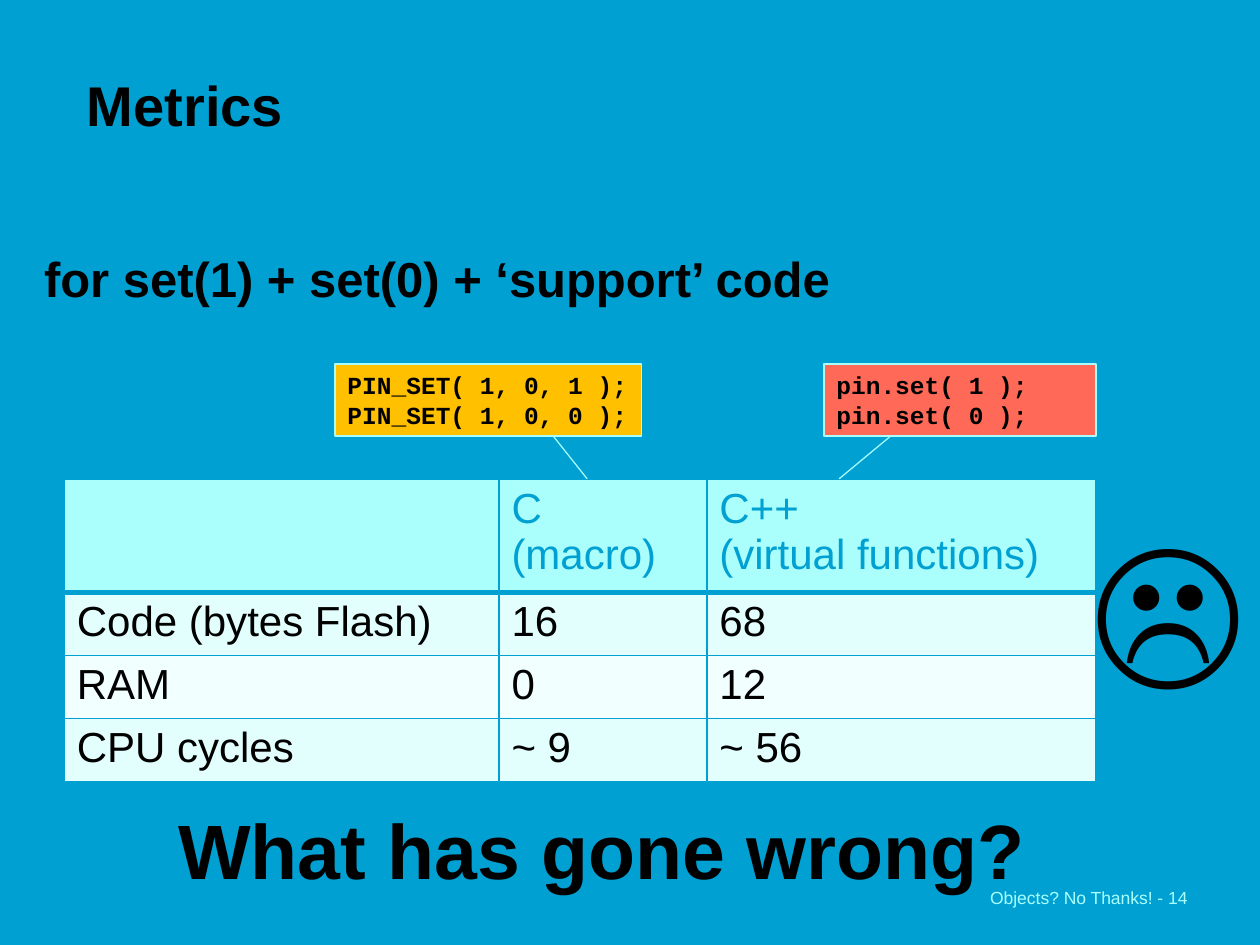
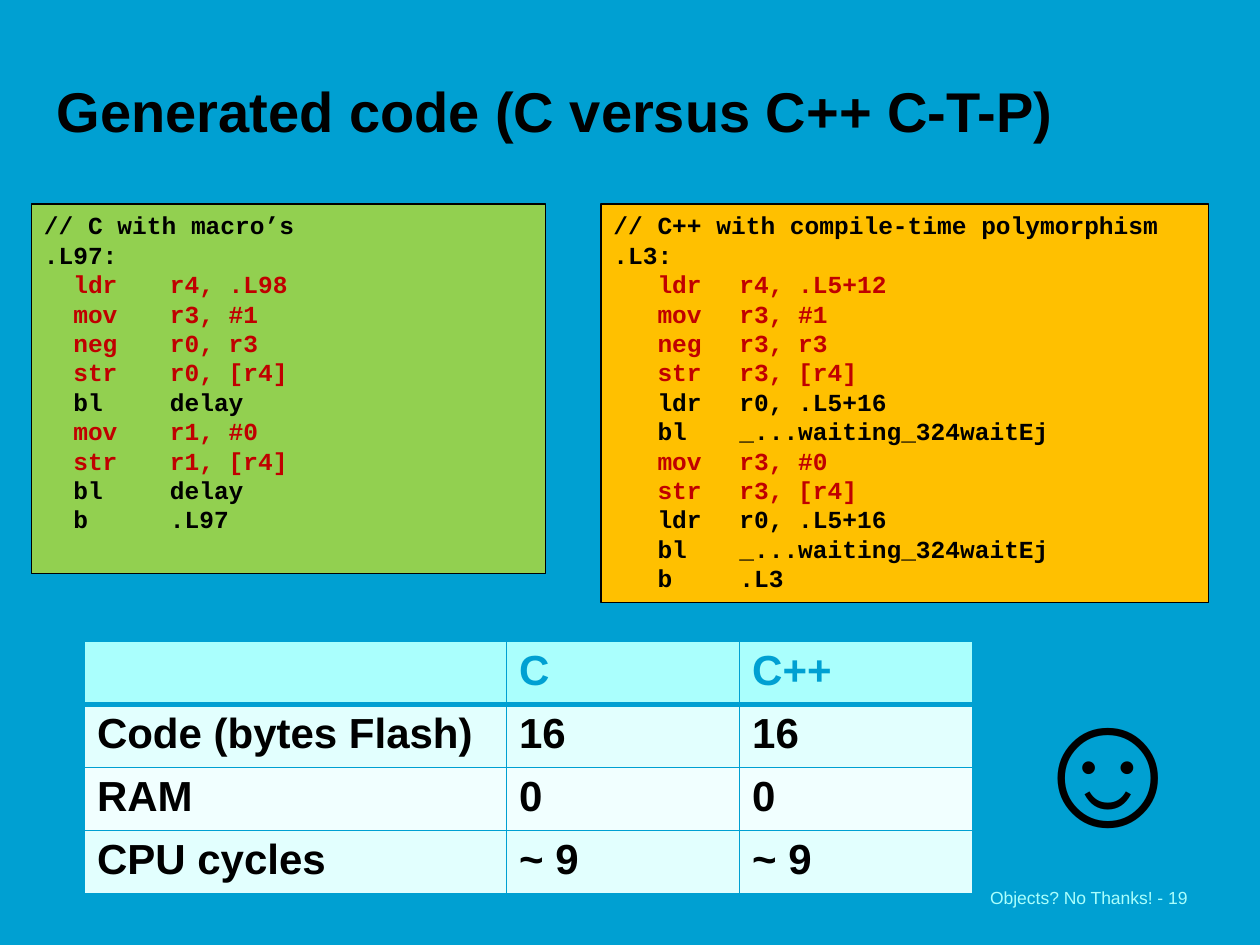
from dataclasses import dataclass
from typing import NamedTuple

from lxml.etree import SubElement
from pptx import Presentation
from pptx.dml.color import RGBColor
from pptx.enum.shapes import MSO_CONNECTOR as Connector, MSO_SHAPE as Preset
from pptx.enum.text import MSO_ANCHOR as Anchor, MSO_AUTO_SIZE as AutoSize, PP_ALIGN as Align
from pptx.oxml import parse_xml
from pptx.oxml.ns import nsdecls, qn
from pptx.util import Inches, Pt

COLUMNS, ROWS = 40, 30
WIDTH, HEIGHT = Inches(10), Inches(7.5)


@dataclass(frozen=True)
class Theme:
    background: str = "00A0D2"
    ink: str = "000000"
    pale: str = "AAFFFD"
    callout: str = "A4FBF9"
    bands: tuple[str, str] = ("E2FFFE", "F1FFFF")
    amber: str = "FFC000"
    coral: str = "FF6A58"
    green: str = "92D050"
    hot: str = "C00000"
    text_font: str = "Arial"
    code_font: str = "Courier New"
    title_size: int = 32
    body_size: int = 28
    table_size: int = 24
    code_size: int = 14
    question_size: int = 44
    face_size: int = 96
    footer_size: int = 10
    hairline: float = 0.75
    border: int = 1
    header_border: int = 3


THEME = Theme()


class Region(NamedTuple):
    left: float
    top: float
    width: float
    height: float

    def lengths(self) -> tuple[int, int, int, int]:
        return across(self.left), down(self.top), across(self.width), down(self.height)


@dataclass(frozen=True)
class CodeBox:
    region: Region
    fill: str
    line: str
    code: str
    hot_lines: tuple[int, ...] = ()
    wrap: bool = True


@dataclass(frozen=True)
class Metrics:
    left: float
    top: float
    columns: tuple[float, ...]
    rows: tuple[float, ...]
    header: tuple[str, ...]
    c_values: tuple[str, ...]
    cpp_values: tuple[str, ...]
    bold: bool


class Callout(NamedTuple):
    start: tuple[float, float]
    end: tuple[float, float]


METRIC_NAMES = ("Code (bytes Flash)", "RAM", "CPU cycles")
C_VALUES = ("16", "0", "~ 9")
FOOTER = Region(31.04, 27.48, 8.32, 2)

PIN_BOXES = (
    CodeBox(Region(26.16, 11.56, 8.64, 2.28), THEME.coral, THEME.pale,
            "pin.set( 1 );\npin.set( 0 );"),
    CodeBox(Region(10.64, 11.56, 9.72, 2.28), THEME.amber, THEME.pale,
            "PIN_SET( 1, 0, 1 );\nPIN_SET( 1, 0, 0 );", wrap=False),
)
CALLOUTS = (
    Callout((17.56, 13.84), (18.64, 15.2)),
    Callout((28.28, 13.84), (26.64, 15.2)),
)
VIRTUAL_METRICS = Metrics(
    2.04, 15.2, (13.8, 6.6, 12.36), (3.36, 1.88, 1.88, 1.88),
    ("", "C\n(macro)", "C++\n(virtual functions)"),
    C_VALUES, ("68", "12", "~ 56"), False)
TEMPLATE_METRICS = Metrics(
    2.68, 20.36, (13.4, 7.4, 7.4), (2, 2, 2, 2),
    ("", "C", "C++"), C_VALUES, C_VALUES, True)

CPP_CODE = """// C++ with compile-time polymorphism
.L3:
   ldr\tr4, .L5+12
   mov\tr3, #1
   neg\tr3, r3
   str\tr3, [r4]
   ldr\tr0, .L5+16
   bl\t_...waiting_324waitEj
   mov\tr3, #0
   str\tr3, [r4]
   ldr\tr0, .L5+16
   bl\t_...waiting_324waitEj
   b\t.L3"""
C_CODE = """// C with macro’s
.L97:
  ldr\tr4, .L98
  mov\tr3, #1
  neg\tr0, r3
  str\tr0, [r4]
  bl\tdelay
  mov\tr1, #0
  str\tr1, [r4]
  bl\tdelay
  b\t.L97"""
LISTINGS = (
    CodeBox(Region(19.08, 6.48, 19.28, 12.64), THEME.amber, THEME.ink,
            CPP_CODE, (2, 3, 4, 5, 8, 9)),
    CodeBox(Region(1, 6.48, 16.32, 11.72), THEME.green, THEME.ink,
            C_CODE, (2, 3, 4, 5, 7, 8)),
)


def across(columns: float) -> int:
    return round(WIDTH * columns / COLUMNS)


def down(rows: float) -> int:
    return round(HEIGHT * rows / ROWS)


def color(value: str) -> RGBColor:
    return RGBColor.from_string(value)


def style(para, size: int, ink: str = THEME.ink, bold: bool = True,
          font: str = THEME.text_font, align=Align.LEFT) -> None:
    para.alignment = align
    for span in para.runs:
        span.font.name = font
        span.font.size = Pt(size)
        span.font.bold = bold
        span.font.color.rgb = color(ink)


def fill_placeholder(box, region: Region, text: str, size: int, anchor) -> None:
    box.left, box.top, box.width, box.height = region.lengths()
    frame = box.text_frame
    frame.text = text
    frame.auto_size = AutoSize.NONE
    frame.vertical_anchor = anchor
    para = frame.paragraphs[0]
    properties = para._p.get_or_add_pPr()
    properties.set("marL", "0")
    properties.set("indent", "0")
    SubElement(properties, qn("a:buNone"))
    para.space_before = Pt(0)
    style(para, size)


def add_label(page, region: Region, text: str, size: int, ink: str = THEME.ink,
              bold: bool = True, align=Align.CENTER, wrap: bool = True) -> None:
    frame = page.shapes.add_textbox(*region.lengths()).text_frame
    frame.text = text
    frame.word_wrap = wrap
    frame.vertical_anchor = Anchor.MIDDLE
    style(frame.paragraphs[0], size, ink, bold, align=align)


def add_code(page, code_box: CodeBox) -> None:
    box = page.shapes.add_shape(Preset.RECTANGLE, *code_box.region.lengths())
    box.shadow.inherit = False
    box.fill.solid()
    box.fill.fore_color.rgb = color(code_box.fill)
    box.line.color.rgb = color(code_box.line)
    box.line.width = Pt(THEME.hairline)
    frame = box.text_frame
    frame.text = code_box.code
    frame.word_wrap = code_box.wrap
    frame.vertical_anchor = Anchor.TOP
    for index, para in enumerate(frame.paragraphs):
        if "\t" in para.text:
            stops = SubElement(para._p.get_or_add_pPr(), qn("a:tabLst"))
            SubElement(stops, qn("a:tab"), pos=str(across(4)), algn="l")
        ink = THEME.hot if index in code_box.hot_lines else THEME.ink
        style(para, THEME.code_size, ink, font=THEME.code_font)


def add_callout(page, callout: Callout) -> None:
    (left, top), (right, bottom) = callout
    line = page.shapes.add_connector(
        Connector.STRAIGHT, across(left), down(top), across(right), down(bottom))
    line.line.color.rgb = color(THEME.callout)
    line.line.width = Pt(THEME.hairline)
    SubElement(line._element.spPr, qn("a:effectLst"))


def format_cell(cell, row: int, bold: bool) -> None:
    header = row == 0
    cell.fill.solid()
    cell.fill.fore_color.rgb = color(THEME.pale if header else THEME.bands[(row - 1) % 2])
    for para in cell.text_frame.paragraphs:
        style(para, THEME.table_size, THEME.background if header else THEME.ink, bold)
    properties = cell._tc.get_or_add_tcPr()
    for position, side in enumerate("LRTB"):
        weight = THEME.header_border if header and side == "B" else THEME.border
        properties.insert(position, parse_xml(
            f'<a:ln{side} {nsdecls("a")} w="{Pt(weight)}"><a:solidFill>'
            f'<a:srgbClr val="{THEME.background}"/></a:solidFill></a:ln{side}>'))


def add_metrics(page, metrics: Metrics) -> None:
    rows = (metrics.header, *zip(METRIC_NAMES, metrics.c_values, metrics.cpp_values))
    region = Region(metrics.left, metrics.top, sum(metrics.columns), sum(metrics.rows))
    table = page.shapes.add_table(len(rows), len(metrics.columns), *region.lengths()).table
    for column, width in zip(table.columns, metrics.columns):
        column.width = across(width)
    for index, (values, height) in enumerate(zip(rows, metrics.rows)):
        table.rows[index].height = down(height)
        for cell, value in zip(table.rows[index].cells, values):
            cell.text_frame.text = value
            format_cell(cell, index, metrics.bold)


def add_page(deck, layout: int, title: str, region: Region, number: int):
    page = deck.slides.add_slide(deck.slide_layouts[layout])
    fill_placeholder(page.shapes.title, region, title, THEME.title_size, Anchor.BOTTOM)
    add_label(page, FOOTER, f"Objects? No Thanks! - {number}", THEME.footer_size,
              THEME.pale, False, Align.LEFT, False)
    return page


def build_metrics_page(deck) -> None:
    page = add_page(deck, 1, "Metrics", Region(2.36, 1.44, 27.4, 3.12), 14)
    fill_placeholder(page.placeholders[1], Region(1, 7.7, 38.76, 3.08),
                     "for set(1) + set(0) + ‘support’ code", THEME.body_size, Anchor.TOP)
    add_metrics(page, VIRTUAL_METRICS)
    add_label(page, Region(1.12, 24.44, 36, 5), "What has gone wrong?", THEME.question_size)
    for code_box in PIN_BOXES:
        add_code(page, code_box)
    for callout in CALLOUTS:
        add_callout(page, callout)
    add_label(page, Region(33.84, 16.56, 6.52, 5), "☹", THEME.face_size)


def build_code_page(deck) -> None:
    page = add_page(deck, 5, "Generated code (C versus C++ C-T-P)",
                    Region(1.4, 1.76, 35.84, 3), 19)
    for listing in LISTINGS:
        add_code(page, listing)
    add_metrics(page, TEMPLATE_METRICS)
    add_label(page, Region(32.08, 21.6, 5.24, 5), "☺", THEME.face_size)


def main() -> None:
    deck = Presentation()
    deck.slide_width, deck.slide_height = WIDTH, HEIGHT
    backdrop = deck.slide_master.background.fill
    backdrop.solid()
    backdrop.fore_color.rgb = color(THEME.background)
    build_metrics_page(deck)
    build_code_page(deck)
    deck.save("out.pptx")


if __name__ == "__main__":
    main()
